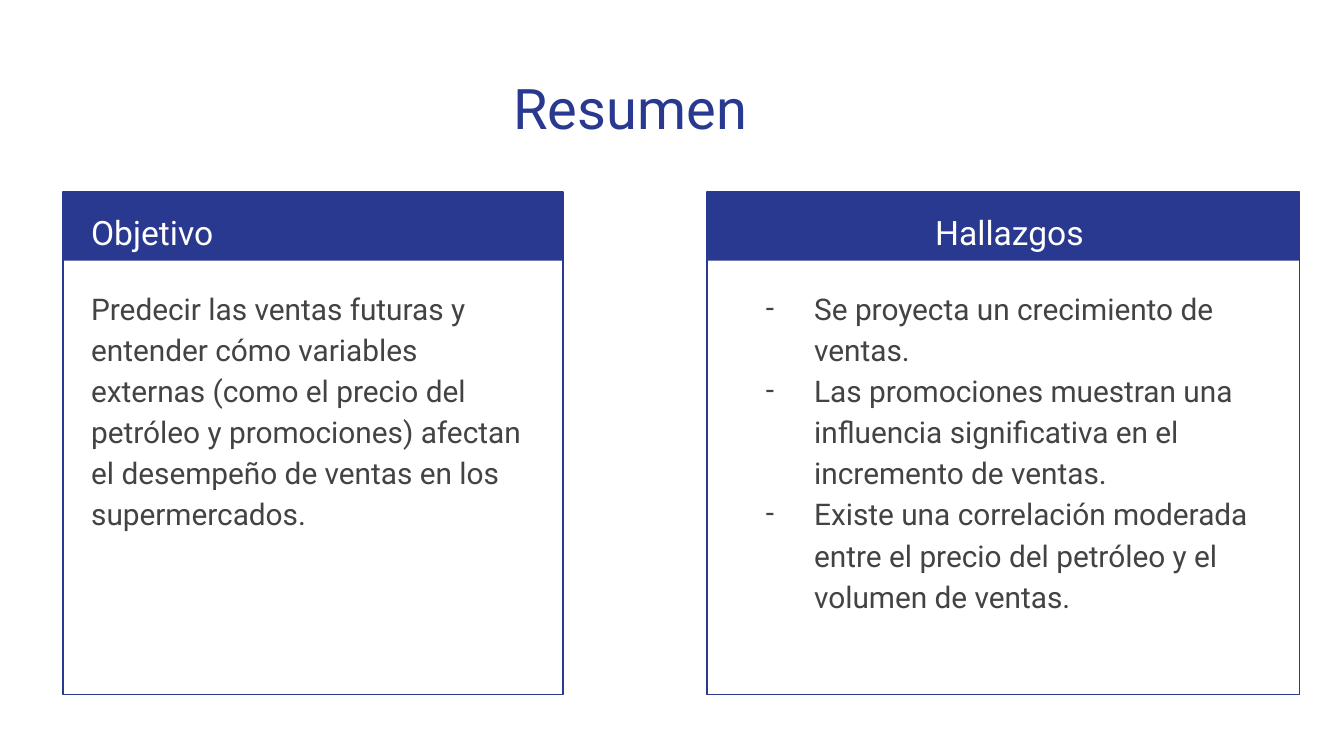
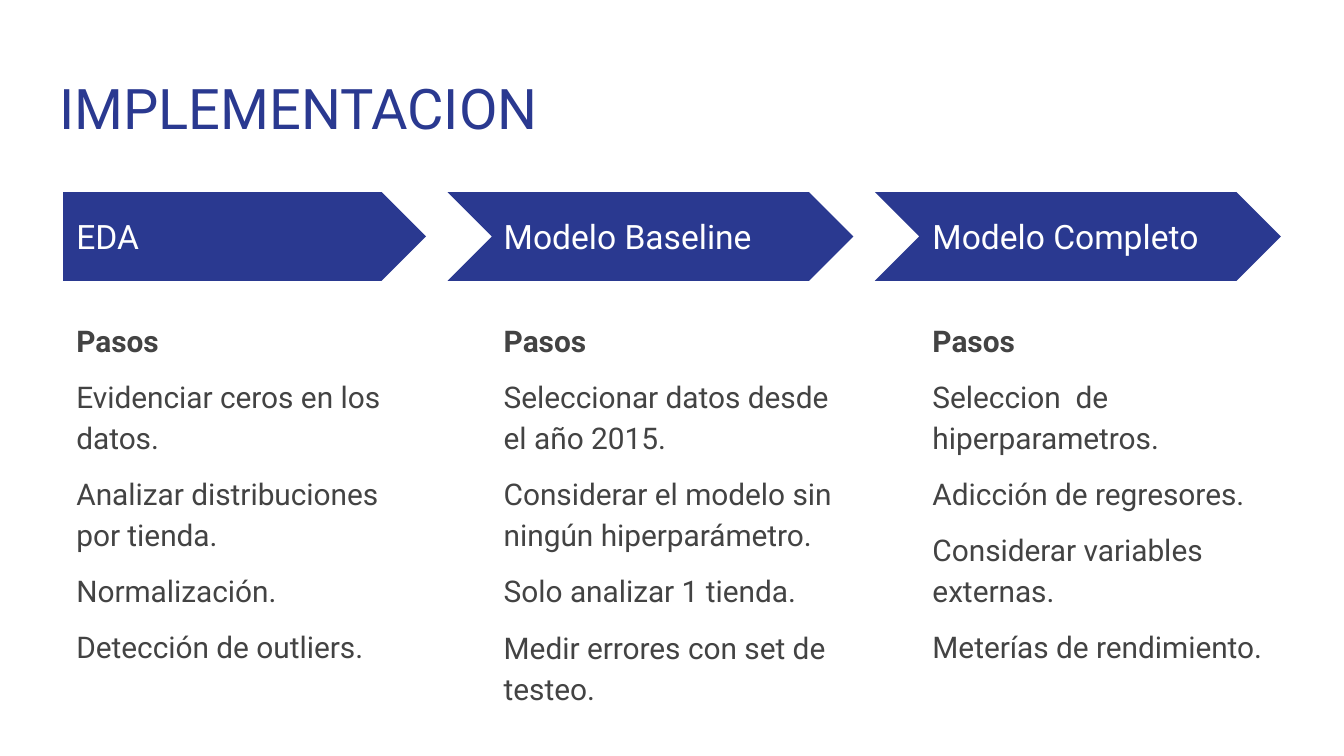
from lxml import etree
from pptx import Presentation
from pptx import util as u
from pptx.dml.color import RGBColor
from pptx.enum import shapes, text
from pptx.oxml.ns import qn

BLUE, GREY, WHITE = "2A3990", "434343", "FFFFFF"
FONT = "Roboto"
TOP = 1.43


def add_block(slide, kind, box, fill=None, line=None):
    """Add a preset shape with a plain fill or a thin outline."""
    shape = slide.shapes.add_shape(kind, *map(u.Inches, box))
    shape.shadow.inherit = False
    for part, colour in ((shape.fill, fill), (shape.line.fill, line)):
        if colour:
            part.solid()
            part.fore_color.rgb = RGBColor.from_string(colour)
        else:
            part.background()
    if line:
        shape.line.width = u.Pt(0.75)


def write_text(shape, box, lines, size, colour, spacing=None, before=0,
               middle=False, bold_first=False, bullet=None):
    """Place a text shape and fill it with one paragraph per line."""
    shape.left, shape.top, shape.width, shape.height = map(u.Inches, box)
    frame = shape.text_frame
    frame.word_wrap = True
    frame.auto_size = text.MSO_AUTO_SIZE.NONE
    frame.vertical_anchor = text.MSO_ANCHOR.MIDDLE if middle else text.MSO_ANCHOR.TOP
    frame.margin_left = frame.margin_right = u.Inches(0.1)
    frame.margin_top = frame.margin_bottom = u.Inches(0.1)
    for index, line in enumerate(lines):
        paragraph = frame.add_paragraph() if index else frame.paragraphs[0]
        paragraph.alignment = text.PP_ALIGN.LEFT
        paragraph.line_spacing = spacing
        paragraph.space_before = u.Pt(before if index else 0)
        run = paragraph.add_run()
        run.text = line
        run.font.name = FONT
        run.font.size = u.Pt(size)
        run.font.bold = bold_first and index == 0
        run.font.color.rgb = RGBColor.from_string(colour)
        if bullet:
            properties = paragraph._p.get_or_add_pPr()
            properties.set("marL", str(u.Inches(0.5)))
            properties.set("indent", str(u.Inches(-0.36)))
            bullet_colour = etree.SubElement(properties, qn("a:buClr"))
            etree.SubElement(bullet_colour, qn("a:srgbClr"), val=colour)
            etree.SubElement(properties, qn("a:buFont"), typeface=FONT)
            etree.SubElement(properties, qn("a:buChar"), char=bullet)


# A 16:9 page
presentation = Presentation()
presentation.slide_width = u.Inches(10)
presentation.slide_height = presentation.slide_width * 9 // 16

# Slides and their titles
slides = []
for title, left, width in (("Resumen", 3.72, 2.21), ("IMPLEMENTACION", 0.34, 9.32)):
    slide = presentation.slides.add_slide(presentation.slide_layouts[5])
    slide.background.fill.solid()
    slide.background.fill.fore_color.rgb = RGBColor.from_string(WHITE)
    write_text(slide.shapes.title, (left, 0.45, width, 0.66), [title], 30, BLUE)
    slides.append(slide)
summary, implementation = slides

# Summary: two cards, each with a heading band
# card left and width, heading, its left and width, body left and width, lines, bullet
cards = [
    (0.47, 3.72, "Objetivo", 0.58, 3.53, 0.58, 3.51,
     ["Predecir las ventas futuras y entender cómo variables externas (como el precio "
      "del petróleo y promociones) afectan el desempeño de ventas en los supermercados."],
     None),
    (5.26, 4.41, "Hallazgos", 6.86, 2.73, 5.46, 4.1,
     ["Se proyecta un crecimiento de ventas.",
      "Las promociones muestran una influencia significativa en el incremento de ventas.",
      "Existe una correlación moderada entre el precio del petróleo y el volumen de ventas."],
     "-"),
]
for (left, width, heading, heading_left, heading_width,
     body_left, body_width, lines, bullet) in cards:
    add_block(summary, shapes.MSO_SHAPE.RECTANGLE, (left, TOP, width, 3.74), line=BLUE)
    add_block(summary, shapes.MSO_SHAPE.RECTANGLE, (left, TOP, width, 0.51), fill=BLUE)
    write_text(summary.shapes.add_textbox(0, 0, 0, 0),
               (heading_left, TOP, heading_width, 0.5), [heading], 18, WHITE, spacing=1.15)
    write_text(summary.shapes.add_textbox(0, 0, 0, 0),
               (body_left, 2.02, body_width, 3.06), lines, 16, GREY,
               spacing=1.15, bullet=bullet)

# Implementation: three stages, an arrow above the steps of each
# arrow kind, left and width, text left, height of the steps, stage, steps
stages = [
    (shapes.MSO_SHAPE.PENTAGON, 0.47, 2.7, 0.47, 2.9, "EDA",
     ["Evidenciar ceros en los datos.", "Analizar distribuciones por tienda.",
      "Normalización.", "Detección de outliers."]),
    (shapes.MSO_SHAPE.CHEVRON, 3.33, 3.02, 3.65, 3.02, "Modelo Baseline",
     ["Seleccionar datos desde el año 2015.",
      "Considerar el modelo sin ningún hiperparámetro.",
      "Solo analizar 1 tienda.", "Medir errores con set de testeo."]),
    (shapes.MSO_SHAPE.CHEVRON, 6.51, 3.02, 6.84, 2.9, "Modelo Completo",
     ["Seleccion  de hiperparametros.", "Adicción de regresores.",
      "Considerar variables externas.", "Meterías de rendimiento."]),
]
for kind, arrow_left, arrow_width, left, height, stage, steps in stages:
    add_block(implementation, kind, (arrow_left, TOP, arrow_width, 0.66), fill=BLUE)
    write_text(implementation.shapes.add_textbox(0, 0, 0, 0), (left, 1.59, 2.47, 0.34),
               [stage], 18, WHITE, middle=True)
    write_text(implementation.shapes.add_textbox(0, 0, 0, 0), (left, 2.26, 2.7, height),
               ["Pasos"] + steps, 16, GREY, spacing=1.15, before=8, bold_first=True)

presentation.save("out.pptx")
